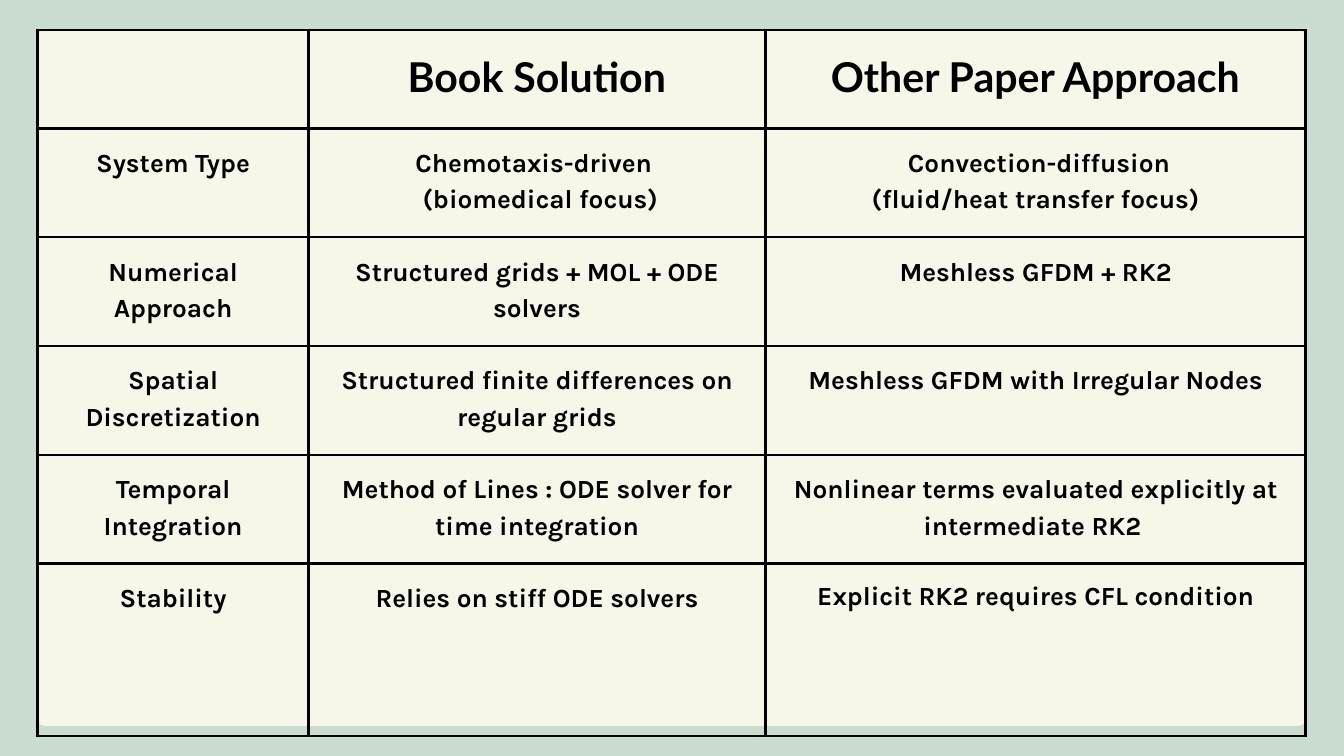
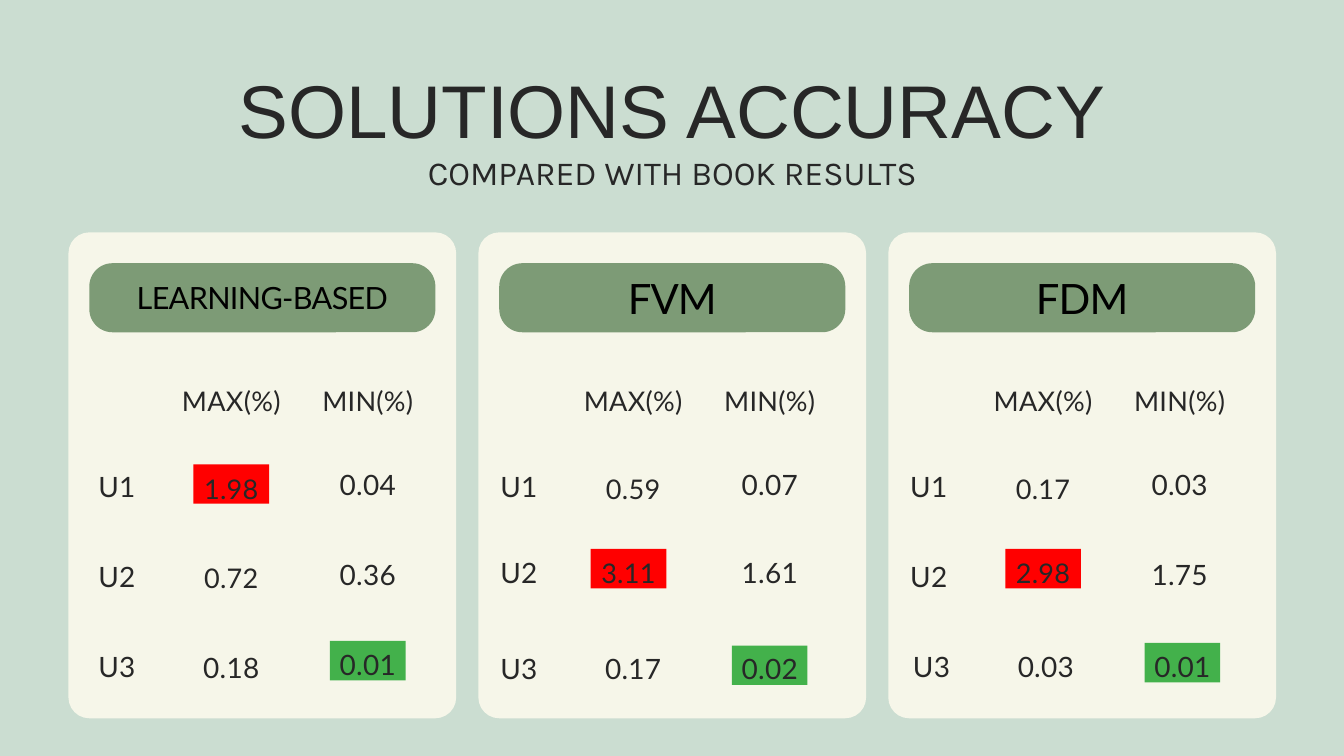
"""Build two slides: a comparison of methods and the accuracy of three solutions."""

from dataclasses import dataclass
from typing import Optional

import lxml.etree
import pptx
import pptx.dml.color
import pptx.enum.shapes
import pptx.enum.text
import pptx.oxml.ns
import pptx.util

Pt = pptx.util.Pt


@dataclass(frozen=True)
class Style:
    """Font settings of a run with the line pitch of its paragraph."""

    font: str
    size: float
    color: str
    pitch: float
    bold: bool = False
    tracking: float = 0


@dataclass(frozen=True)
class Theme:
    """Colours and text styles shared by the slides."""

    backdrop: str = "CBDDD1"
    panel: str = "F6F6E9"
    pill: str = "7D9B76"
    worst: str = "FF0000"
    best: str = "43B14B"
    rule: str = "000000"
    title: Style = Style("Arial", 80, "272727", 91.2)
    subtitle: Style = Style("Karla", 36, "272727", 41)
    column_head: Style = Style("Lato", 44, "000000", 61.6, bold=True)
    cell: Style = Style("Karla", 28, "000000", 39.2, bold=True)
    tight_cell: Style = Style("Karla", 28, "000000", 36.6, bold=True)
    method: Style = Style("Lato", 44.8, "000000", 53.7, tracking=-0.9)
    long_method: Style = Style("Lato", 32.8, "000000", 39.3, tracking=-0.7)
    small_value: Style = Style("Lato", 29, "272727", 43.8, tracking=0.3)
    value: Style = Style("Lato", 30, "272727", 45.3, tracking=0.3)


THEME = Theme()


@dataclass(frozen=True)
class Frame:
    """Position and size in points."""

    left: float
    top: float
    width: float
    height: float

    def lengths(self) -> list:
        """Return the four lengths as Pt values."""
        return [Pt(n) for n in (self.left, self.top, self.width, self.height)]


@dataclass(frozen=True)
class Column:
    """Centre and width of a column of figures, from the left of the grid."""

    center: float
    width: float


@dataclass(frozen=True)
class Figure:
    """A text in a card's grid with its top edge and optional highlight."""

    text: str
    top: float
    style: Style = THEME.value
    nudge: float = 0
    mark: Optional[str] = None


@dataclass(frozen=True)
class Card:
    """A method with its rows of label, maximum and minimum."""

    method: str
    style: Style
    indent: float
    rows: tuple


SMALL = THEME.small_value
COLUMNS = (Column(24.5, 49), Column(147, 72), Column(293.3, 95))
HEADINGS = ("MAX(%)", "MIN(%)")
HEADING_WIDTH = 134.6
HEADING_TOP = 402.5
MARK_WIDTH, MARK_HEIGHT = 81, 42.2
CARD_LEFT, CARD_PITCH = 73.4, 439.2

CARDS = (
    Card("LEARNING-BASED", THEME.long_method, 27.4, (
        (Figure("U1", 493.9), Figure("1.98", 496.8, SMALL, mark=THEME.worst), Figure("0.04", 491.8)),
        (Figure("U2", 590.4), Figure("0.72", 592.6, SMALL), Figure("0.36", 588.2)),
        (Figure("U3", 686.2), Figure("0.18", 687.6), Figure("0.01", 684, mark=THEME.best)),
    )),
    Card("FVM", THEME.method, 18.8, (
        (Figure("U1", 493.9), Figure("0.59", 496.8, SMALL), Figure("0.07", 491.8)),
        (Figure("U2", 586.1), Figure("3.11", 587.5, SMALL, -5, THEME.worst), Figure("1.61", 586.1)),
        (Figure("U3", 689), Figure("0.17", 689), Figure("0.02", 689, mark=THEME.best)),
    )),
    Card("FDM", THEME.method, 18.8, (
        (Figure("U1", 493.9), Figure("0.17", 496.8, SMALL), Figure("0.03", 491.8)),
        (Figure("U2", 590.4), Figure("2.98", 587.5, SMALL, mark=THEME.worst), Figure("1.75", 588.2)),
        (Figure("U3", 686.2, nudge=3), Figure("0.03", 686.2, nudge=3),
         Figure("0.01", 686.2, nudge=3, mark=THEME.best)),
    )),
)

TABLE_FRAME = Frame(40.3, 32.4, 1358.7, 756.5)
COLUMN_WIDTHS = (290.2, 489.6, 578.9)
ROW_HEIGHTS = (105.1, 116.6, 116.6, 116.6, 116.6, 185)
COMPARISON = (
    ("", "Book Solution", "Other Paper Approach"),
    ("System Type", "Chemotaxis-driven \n (biomedical focus)",
     " Convection-diffusion\n(fluid/heat transfer focus)"),
    ("Numerical Approach", "Structured grids + MOL + ODE solvers", "Meshless GFDM + RK2"),
    ("Spatial Discretization", "Structured finite differences on regular grids",
     "Meshless GFDM with Irregular Nodes"),
    ("Temporal Integration", "Method of Lines : ODE solver for time integration",
     "Nonlinear terms evaluated explicitly at intermediate RK2 "),
    ("Stability", "Relies on stiff ODE solvers", "Explicit RK2 requires CFL condition"),
)


def rgb(color: str) -> pptx.dml.color.RGBColor:
    """Turn a hex string into a colour."""
    return pptx.dml.color.RGBColor.from_string(color)


def write_lines(text_frame, lines: list) -> None:
    """Write centred paragraphs from pairs of text and style."""
    for index, (text, style) in enumerate(lines):
        para = text_frame.add_paragraph() if index else text_frame.paragraphs[0]
        para.alignment = pptx.enum.text.PP_ALIGN.CENTER
        para.line_spacing = Pt(style.pitch)
        para.space_before = Pt(0)
        span = para.add_run()
        span.text = text
        span.font.name = style.font
        span.font.size = Pt(style.size)
        span.font.bold = style.bold
        span.font.color.rgb = rgb(style.color)
        if style.tracking:
            span._r.get_or_add_rPr().set("spc", str(round(style.tracking * 100)))


def prepare_frame(text_frame, anchor=pptx.enum.text.MSO_ANCHOR.TOP) -> None:
    """Wrap the text, remove the insets and set the anchor."""
    text_frame.word_wrap = True
    text_frame.auto_size = pptx.enum.text.MSO_AUTO_SIZE.NONE
    text_frame.vertical_anchor = anchor
    text_frame.margin_left = text_frame.margin_right = 0
    text_frame.margin_top = text_frame.margin_bottom = 0


def add_block(page, frame: Frame, color: str, radius: float = 0):
    """Add a plain or rounded rectangle without outline."""
    kinds = pptx.enum.shapes.MSO_SHAPE
    kind = kinds.ROUNDED_RECTANGLE if radius else kinds.RECTANGLE
    block = page.shapes.add_shape(kind, *frame.lengths())
    if radius:
        block.adjustments[0] = radius / min(frame.width, frame.height)
    block.shadow.inherit = False
    block.fill.solid()
    block.fill.fore_color.rgb = rgb(color)
    block.line.fill.background()
    return block


def add_label(page, text: str, center: float, top: float, width: float, style: Style) -> None:
    """Add a one-line text box centred on a position."""
    frame = Frame(center - width / 2, top, width, 41)
    box = page.shapes.add_textbox(*frame.lengths())
    prepare_frame(box.text_frame)
    write_lines(box.text_frame, [(text, style)])


def add_borders(cell) -> None:
    """Draw a line on all four sides of a table cell."""
    properties = cell._tc.get_or_add_tcPr()
    for index, side in enumerate(("lnL", "lnR", "lnT", "lnB")):
        line = lxml.etree.Element(pptx.oxml.ns.qn(f"a:{side}"), w=str(Pt(3)))
        fill = lxml.etree.SubElement(line, pptx.oxml.ns.qn("a:solidFill"))
        lxml.etree.SubElement(fill, pptx.oxml.ns.qn("a:srgbClr"), val=THEME.rule)
        properties.insert(index, line)


def fill_cell(cell, text: str, style: Style) -> None:
    """Format a table cell and write its text."""
    cell.fill.background()
    cell.margin_left = cell.margin_right = Pt(15)
    cell.margin_top = cell.margin_bottom = Pt(15)
    cell.vertical_anchor = pptx.enum.text.MSO_ANCHOR.TOP
    add_borders(cell)
    if text:
        write_lines(cell.text_frame, [(line, style) for line in text.split("\n")])


def build_comparison(deck) -> None:
    """Add the slide that compares the two approaches in a table."""
    page = deck.slides.add_slide(deck.slide_layouts[6])
    add_block(page, Frame(40.3, 32.4, 1358.7, 745.2), THEME.panel, 7.2)
    size = (len(ROW_HEIGHTS), len(COLUMN_WIDTHS))
    table = page.shapes.add_table(*size, *TABLE_FRAME.lengths()).table
    table.first_row = table.horz_banding = False
    for column, width in zip(table.columns, COLUMN_WIDTHS):
        column.width = Pt(width)
    for row, height in zip(table.rows, ROW_HEIGHTS):
        row.height = Pt(height)
    last = (size[0] - 1, size[1] - 1)
    for r, texts in enumerate(COMPARISON):
        for c, text in enumerate(texts):
            style = THEME.cell if r else THEME.column_head
            fill_cell(table.cell(r, c), text, THEME.tight_cell if (r, c) == last else style)


def add_figure(page, figure: Figure, column: Column, left: float) -> None:
    """Add a figure and the highlight behind it."""
    center = left + column.center + figure.nudge
    if figure.mark:
        drop = 0.7 if figure.style is SMALL else 2.7
        frame = Frame(center - MARK_WIDTH / 2, figure.top + drop, MARK_WIDTH, MARK_HEIGHT)
        add_block(page, frame, figure.mark)
    add_label(page, figure.text, center, figure.top, column.width, figure.style)


def add_card(page, card: Card, left: float) -> None:
    """Add a card with its method name, headings and figures."""
    add_block(page, Frame(left, 249, 415.4, 520.6), THEME.panel, 22.3)
    pill = add_block(page, Frame(left + 22.3, 282, 370.8, 74), THEME.pill, 24.8)
    prepare_frame(pill.text_frame, pptx.enum.text.MSO_ANCHOR.MIDDLE)
    write_lines(pill.text_frame, [(card.method, card.style)])
    grid_left = left + card.indent
    for heading, column in zip(HEADINGS, COLUMNS[1:]):
        add_label(page, heading, grid_left + column.center, HEADING_TOP, HEADING_WIDTH, SMALL)
    for row in card.rows:
        for figure, column in zip(row, COLUMNS):
            add_figure(page, figure, column, grid_left)


def build_accuracy(deck) -> None:
    """Add the slide with the accuracy of each method."""
    page = deck.slides.add_slide(deck.slide_layouts[5])
    title = page.shapes.title
    title.left, title.top, title.width, title.height = Frame(193.7, 73.4, 1053.4, 132.5).lengths()
    prepare_frame(title.text_frame)
    write_lines(title.text_frame, [
        ("SOLUTIONS ACCURACY", THEME.title),
        ("COMPARED WITH BOOK RESULTS", THEME.subtitle),
    ])
    for index, card in enumerate(CARDS):
        add_card(page, card, CARD_LEFT + index * CARD_PITCH)


def main() -> None:
    """Build the deck and save it."""
    deck = pptx.Presentation()
    deck.slide_width, deck.slide_height = Pt(1440), Pt(810)
    backdrop = deck.slide_master.background.fill
    backdrop.solid()
    backdrop.fore_color.rgb = rgb(THEME.backdrop)
    build_comparison(deck)
    build_accuracy(deck)
    deck.save("out.pptx")


if __name__ == "__main__":
    main()
